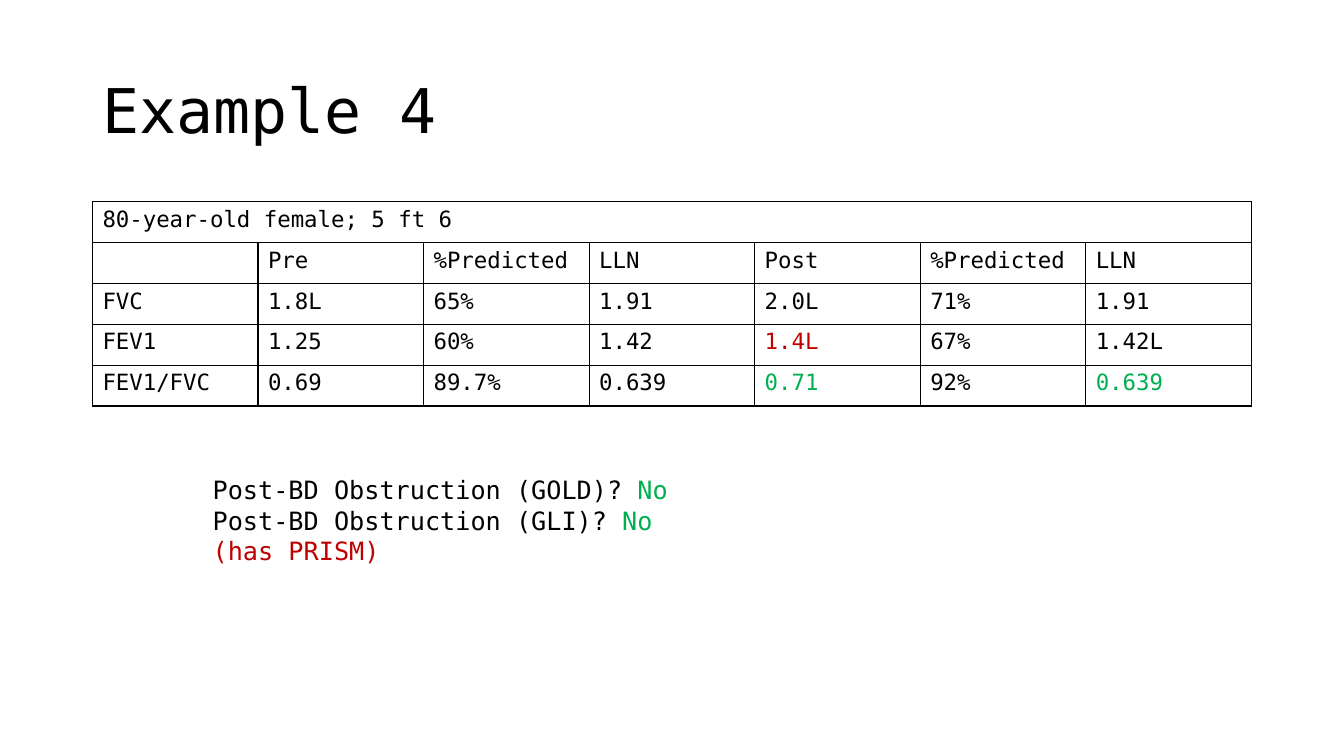
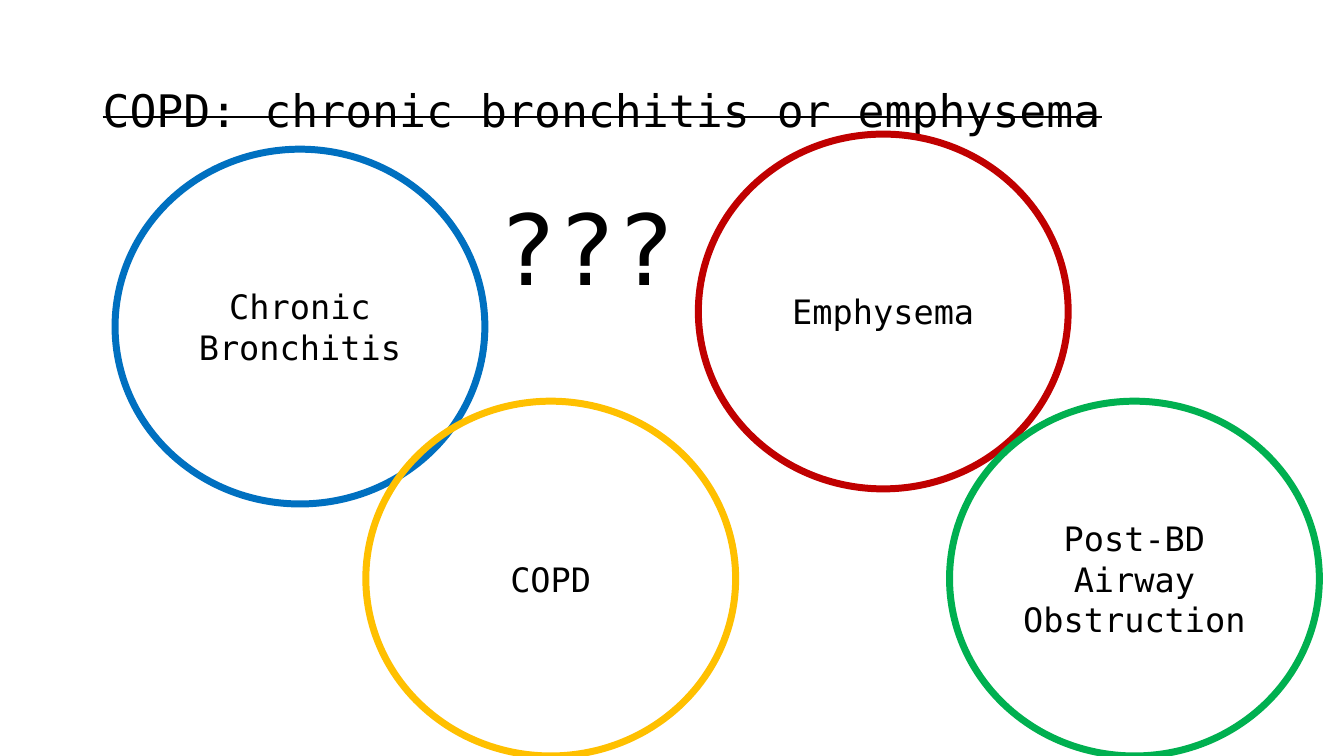
from typing import NamedTuple

from lxml.etree import SubElement
from pptx import Presentation
from pptx.dml.color import RGBColor
from pptx.enum.shapes import MSO_SHAPE
from pptx.enum.text import MSO_ANCHOR, MSO_AUTO_SIZE, PP_ALIGN
from pptx.oxml.ns import qn
from pptx.util import Cm, Pt

# Shared style
FONT_NAME = "DejaVu Sans Mono"
BLACK = RGBColor(0x00, 0x00, 0x00)
RED = RGBColor(0xC0, 0x00, 0x00)
GREEN = RGBColor(0x00, 0xB0, 0x50)
BLUE = RGBColor(0x00, 0x70, 0xC0)
GOLD = RGBColor(0xFF, 0xC0, 0x00)

SLIDE_WIDTH, SLIDE_HEIGHT = Cm(33.87), Cm(19.05)
MARGIN_LEFT, CONTENT_WIDTH = Cm(2.33), Cm(29.21)
TITLE_TOP, TITLE_HEIGHT = Cm(1.01), Cm(3.68)
TITLE_FRAME = {
    "word_wrap": True,
    "auto_size": MSO_AUTO_SIZE.NONE,
    "vertical_anchor": MSO_ANCHOR.MIDDLE,
}
TITLE_PARAGRAPH = {"alignment": PP_ALIGN.LEFT, "line_spacing": 0.9}


class Segment(NamedTuple):
    text: str
    color: RGBColor = BLACK


class Circle(NamedTuple):
    label: str
    left: float
    top: float
    color: RGBColor


# Slide content
HEADING = "80-year-old female; 5 ft 6"
ROWS = [
    ["", "Pre", "%Predicted", "LLN", "Post", "%Predicted", "LLN"],
    ["FVC", "1.8L", "65%", "1.91", "2.0L", "71%", "1.91"],
    ["FEV1", "1.25", "60%", "1.42", "1.4L", "67%", "1.42L"],
    ["FEV1/FVC", "0.69", "89.7%", "0.639", "0.71", "92%", "0.639"],
]
CELL_COLORS = {(3, 4): RED, (4, 4): GREEN, (4, 6): GREEN}
ROW_HEIGHT = Cm(1.03)

FINDINGS = [
    [Segment("Post-BD Obstruction (GOLD)? "), Segment("No", GREEN)],
    [Segment("Post-BD Obstruction (GLI)? "), Segment("No", GREEN)],
    [Segment("(has PRISM)", RED)],
]

CIRCLE_WIDTH, CIRCLE_HEIGHT = Cm(9.32), Cm(8.94)
CIRCLES = [
    Circle("Chronic Bronchitis", 2.9, 3.76, BLUE),
    Circle("COPD", 9.22, 10.11, GOLD),
    Circle("Emphysema", 17.6, 3.38, RED),
    Circle("Post-BD Airway Obstruction", 23.93, 10.11, GREEN),
]


def apply(target, values: dict) -> None:
    for name, value in values.items():
        setattr(target, name, value)


def add_text(paragraph, segment: Segment, size: float):
    run = paragraph.add_run()
    run.text = segment.text
    apply(run.font, {"name": FONT_NAME, "size": Pt(size)})
    run.font.color.rgb = segment.color
    return run


def write_title_text(shape, text: str, size: float):
    apply(shape.text_frame, TITLE_FRAME)
    paragraph = shape.text_frame.paragraphs[0]
    apply(paragraph, TITLE_PARAGRAPH)
    return add_text(paragraph, Segment(text), size)


def add_titled_slide(presentation, text: str, size: float, struck: bool = False):
    slide = presentation.slides.add_slide(presentation.slide_layouts[5])
    title = slide.shapes.title
    apply(title, {"left": MARGIN_LEFT, "top": TITLE_TOP,
                  "width": CONTENT_WIDTH, "height": TITLE_HEIGHT})
    run = write_title_text(title, text, size)
    if struck:
        run._r.get_or_add_rPr().set("strike", "sngStrike")
    return slide


def format_cell(cell) -> None:
    properties = cell._tc.get_or_add_tcPr()
    for side in ("lnL", "lnR", "lnT", "lnB"):
        line = SubElement(properties, qn(f"a:{side}"), w=str(Pt(1)))
        fill = SubElement(line, qn("a:solidFill"))
        SubElement(fill, qn("a:srgbClr"), val=str(BLACK))
    cell.fill.background()


def add_results_table(slide) -> None:
    column_count = len(ROWS[0])
    rows = [[HEADING] + [""] * (column_count - 1)] + ROWS
    table = slide.shapes.add_table(
        len(rows), column_count, MARGIN_LEFT, Cm(5.08),
        CONTENT_WIDTH, ROW_HEIGHT * len(rows)).table
    apply(table, {"first_row": False, "horz_banding": False})
    for row_index, texts in enumerate(rows):
        for column_index, text in enumerate(texts):
            cell = table.cell(row_index, column_index)
            format_cell(cell)
            if text:
                color = CELL_COLORS.get((row_index, column_index), BLACK)
                add_text(cell.text_frame.paragraphs[0], Segment(text, color), 16)
    table.cell(0, 0).merge(table.cell(0, column_count - 1))


def add_findings(slide) -> None:
    box = slide.shapes.add_textbox(Cm(5.11), Cm(11.84), Cm(16.41), Cm(2.57))
    frame = box.text_frame
    apply(frame, {"word_wrap": True, "auto_size": MSO_AUTO_SIZE.SHAPE_TO_FIT_TEXT})
    for index, segments in enumerate(FINDINGS):
        paragraph = frame.add_paragraph() if index else frame.paragraphs[0]
        for segment in segments:
            add_text(paragraph, segment, 18)


def add_circle(slide, circle: Circle) -> None:
    shape = slide.shapes.add_shape(
        MSO_SHAPE.OVAL, Cm(circle.left), Cm(circle.top), CIRCLE_WIDTH, CIRCLE_HEIGHT)
    shape.shadow.inherit = False
    shape.fill.background()
    shape.line.color.rgb = circle.color
    shape.line.width = Pt(5)
    apply(shape.text_frame, {"word_wrap": True, "vertical_anchor": MSO_ANCHOR.MIDDLE})
    paragraph = shape.text_frame.paragraphs[0]
    paragraph.alignment = PP_ALIGN.CENTER
    add_text(paragraph, Segment(circle.label), 24)


def main() -> None:
    presentation = Presentation()
    apply(presentation, {"slide_width": SLIDE_WIDTH, "slide_height": SLIDE_HEIGHT})

    # Spirometry example
    example = add_titled_slide(presentation, "Example 4", 44)
    add_results_table(example)
    add_findings(example)

    # Definition of COPD in question
    definition = add_titled_slide(
        presentation, "COPD: chronic bronchitis or emphysema", 32, struck=True)
    for circle in CIRCLES:
        add_circle(definition, circle)
    question_left = Cm(12.32)
    question = definition.shapes.add_textbox(
        question_left, Cm(4.55), SLIDE_WIDTH - question_left, TITLE_HEIGHT)
    write_title_text(question, "???", 70)

    presentation.save("out.pptx")


if __name__ == "__main__":
    main()
